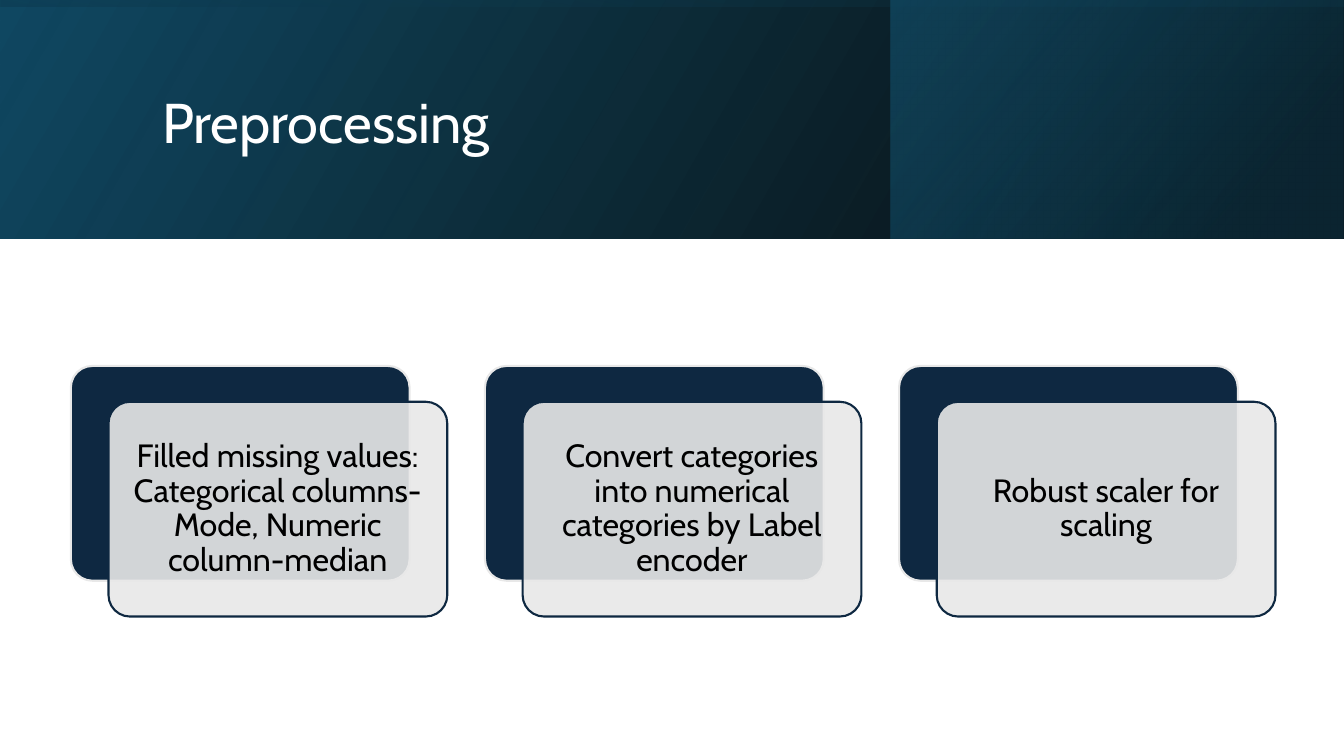
import pptx
import pptx.dml.color
import pptx.enum.shapes
import pptx.enum.text
import pptx.oxml.ns
import pptx.util

Pt = pptx.util.Pt
SHAPES = pptx.enum.shapes.MSO_SHAPE
ALIGN = pptx.enum.text.PP_ALIGN

FONT = "Cabin"
WHITE, BLACK, NAVY, GREY = "FFFFFF", "000000", "0E2841", "E8E8E8"
PAGE_WIDTH, PAGE_HEIGHT, BANNER_HEIGHT = 960, 540, 170.6
CARD_LEFT, CARD_TOP, CARD_WIDTH, CARD_HEIGHT = 50.6, 261.4, 242, 153.4
CARD_PITCH, CARD_SHIFT = 295.8, (26.9, 25.6)
STEPS = [
    "Filled missing values: Categorical columns- Mode, Numeric column-median",
    "Convert categories into numerical categories by Label encoder",
    "Robust scaler for scaling",
]


def rgb(code):
    """Turn a hex string into a colour."""
    return pptx.dml.color.RGBColor.from_string(code)


def set_opacity(shape, percents):
    """Give the fill colours of a shape their opacities, in order."""
    colours = shape._element.spPr.iter(pptx.oxml.ns.qn("a:srgbClr"))
    for colour, percent in zip(list(colours), percents):
        alpha = pptx.oxml.parse_xml(
            f'<a:alpha {pptx.oxml.ns.nsdecls("a")} val="{percent * 1000}"/>')
        colour.append(alpha)


def add_shape(page, kind, left, top, width, height):
    """Add a preset shape without a shadow."""
    shape = page.shapes.add_shape(kind, Pt(left), Pt(top), Pt(width), Pt(height))
    shape.shadow.inherit = False
    return shape


def add_gradient(page, left, top, width, height, stops, angle, rotation=0):
    """Add a mirrored rectangle with a translucent two-colour gradient."""
    shape = add_shape(page, SHAPES.RECTANGLE, left, top, width, height)
    shape.rotation = rotation
    shape._element.spPr.xfrm.set("flipH", "1")
    shape.fill.gradient()
    shape.fill.gradient_angle = angle
    for stop, (position, colour, opacity) in zip(shape.fill.gradient_stops, stops):
        stop.position = position
        stop.color.rgb = rgb(colour)
    set_opacity(shape, [opacity for position, colour, opacity in stops])
    shape.line.fill.background()


def add_card(page, left, top, fill, line, opacity=100):
    """Add a rounded card and return it."""
    card = add_shape(page, SHAPES.ROUNDED_RECTANGLE, left, top, CARD_WIDTH, CARD_HEIGHT)
    card.adjustments[0] = 0.1
    card.fill.solid()
    card.fill.fore_color.rgb = rgb(fill)
    if opacity < 100:
        set_opacity(card, [opacity])
    card.line.color.rgb = rgb(line)
    card.line.width = Pt(1.5)
    return card


def write(box, text, *, size, colour, align, inset):
    """Write one vertically centred paragraph into a box."""
    frame = box.text_frame
    frame.word_wrap = True
    frame.vertical_anchor = pptx.enum.text.MSO_ANCHOR.MIDDLE
    frame.margin_left = frame.margin_right = Pt(inset)
    frame.margin_top = frame.margin_bottom = Pt(inset)
    para = frame.paragraphs[0]
    para.alignment = align
    para.line_spacing = 0.9
    span = para.add_run()
    span.text = text
    span.font.name = FONT
    span.font.size = Pt(size)
    span.font.color.rgb = rgb(colour)


def add_banner(page):
    """Add the layered banner and its title."""
    add_gradient(page, 0, 0, PAGE_WIDTH, BANNER_HEIGHT,
                 [(0, BLACK, 96), (1, "104862", 100)], 30)
    add_gradient(page, 636.5, 0, 322.9, BANNER_HEIGHT,
                 [(0.19, "0B3041", 68), (1, "156082", 48)], 40)
    overhang = (PAGE_WIDTH - BANNER_HEIGHT) / 2
    add_gradient(page, overhang, -overhang, BANNER_HEIGHT, PAGE_WIDTH,
                 [(0.23, "104862", 16), (0.99, BLACK, 45)], 10, rotation=270)
    title = page.shapes.add_textbox(Pt(108.7), Pt(27.4), Pt(765.4), Pt(123.8))
    write(title, "Preprocessing", size=40, colour=WHITE, align=ALIGN.LEFT, inset=7.2)


def add_step(page, index, text):
    """Add a navy card with a translucent text card in front."""
    left = CARD_LEFT + index * CARD_PITCH
    add_card(page, left, CARD_TOP, NAVY, GREY)
    front = add_card(page, left + CARD_SHIFT[0], CARD_TOP + CARD_SHIFT[1],
                     GREY, NAVY, opacity=90)
    write(front, text, size=23, colour=BLACK, align=ALIGN.CENTER, inset=6.9)


def main():
    """Build and save the slide."""
    deck = pptx.Presentation()
    deck.slide_width, deck.slide_height = Pt(PAGE_WIDTH), Pt(PAGE_HEIGHT)
    page = deck.slides.add_slide(deck.slide_layouts[6])
    page.background.fill.solid()
    page.background.fill.fore_color.rgb = rgb(WHITE)
    add_banner(page)
    for index, text in enumerate(STEPS):
        add_step(page, index, text)
    deck.save("out.pptx")


if __name__ == "__main__":
    main()
